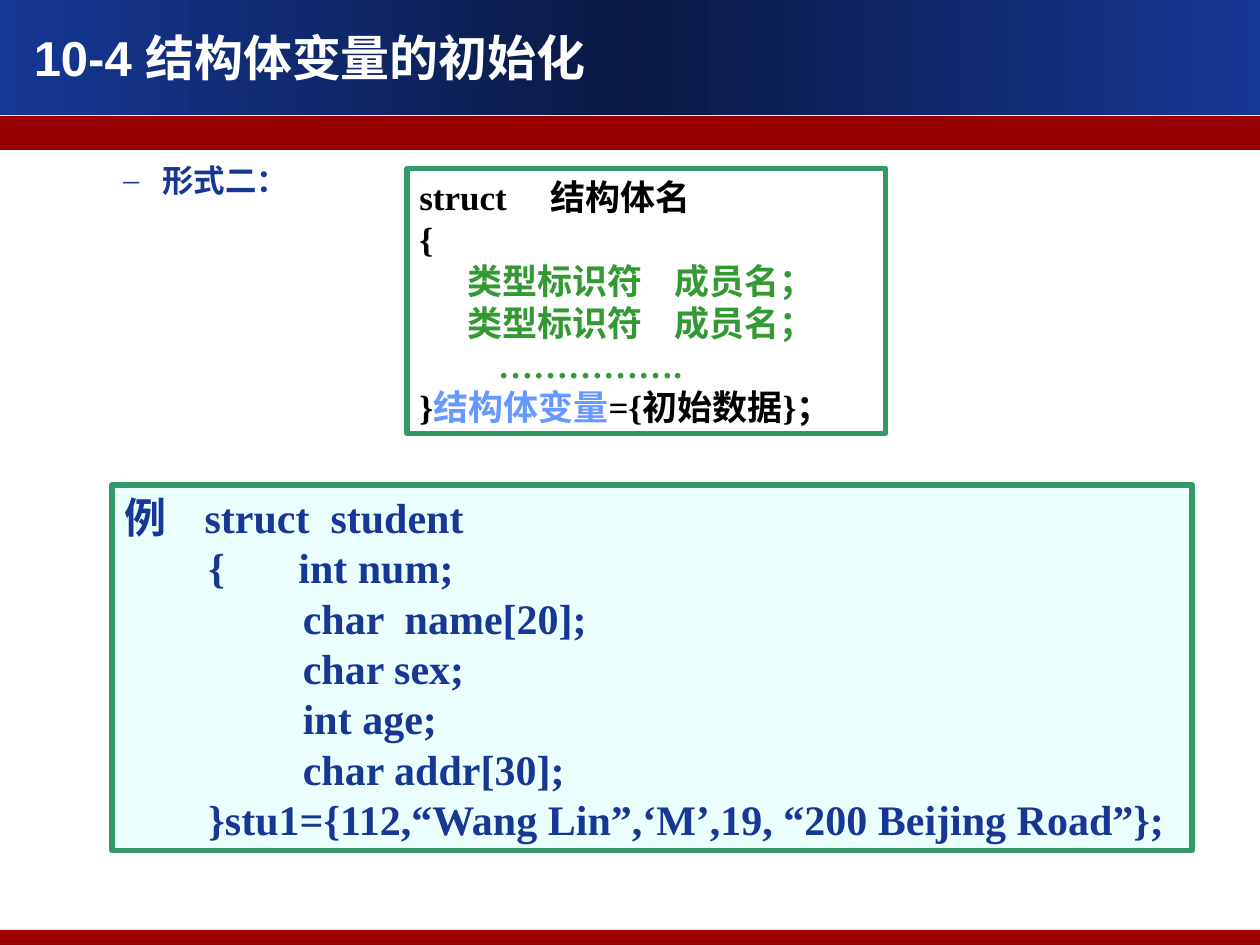
from copy import deepcopy

from lxml.etree import SubElement
from pptx import Presentation
from pptx.dml.color import RGBColor
from pptx.enum.shapes import MSO_SHAPE
from pptx.enum.text import MSO_ANCHOR, PP_ALIGN
from pptx.oxml.ns import qn
from pptx.util import Inches, Pt

BLUE = RGBColor(0x16, 0x37, 0x94)
NAVY = RGBColor(0x0A, 0x19, 0x44)
RED = RGBColor(0x99, 0x00, 0x00)
FRAME_GREEN = RGBColor(0x33, 0x99, 0x66)
CODE_GREEN = RGBColor(0x33, 0x99, 0x33)
LIGHT_BLUE = RGBColor(0x66, 0x99, 0xFF)
PALE_CYAN = RGBColor(0xEB, 0xFF, 0xFF)
BLACK = RGBColor(0x00, 0x00, 0x00)
WHITE = RGBColor(0xFF, 0xFF, 0xFF)

deck = Presentation()
deck.slide_width, deck.slide_height = Inches(10), Inches(7.5)
page = deck.slides.add_slide(deck.slide_layouts[6])


def add_rectangle(left, top, width, height, fill=None, line=None):
    box = page.shapes.add_shape(MSO_SHAPE.RECTANGLE, Inches(left), Inches(top),
                                Inches(width), Inches(height))
    box.shadow.inherit = False
    if fill is None:
        box.fill.background()
    else:
        box.fill.solid()
        box.fill.fore_color.rgb = fill
    if line is None:
        box.line.fill.background()
    else:
        box.line.color.rgb = line
        box.line.width = Pt(3)
    return box


def write(box, lines, size, color, font="Arial", wrap=True, anchor=MSO_ANCHOR.TOP):
    """Fill a box; a line is a string or a list of (text, color) pairs."""
    frame = box.text_frame
    frame.word_wrap = wrap
    frame.vertical_anchor = anchor
    for number, line in enumerate(lines):
        para = frame.paragraphs[0] if number == 0 else frame.add_paragraph()
        para.alignment = PP_ALIGN.LEFT
        for text, text_color in [(line, color)] if isinstance(line, str) else line:
            span = para.add_run()
            span.text = text
            span.font.name = font
            span.font.size = Pt(size)
            span.font.bold = True
            span.font.color.rgb = text_color


# Header and footer bands
header = add_rectangle(0, 0, 10, 0.91, fill=BLUE)
header.fill.gradient()
header.fill.gradient_angle = 0
first_stop = header._element.spPr.find(qn("a:gradFill")).find(qn("a:gsLst"))[0]
first_stop.addnext(deepcopy(first_stop))
for stop, position, color in zip(header.fill.gradient_stops, (0, 0.5, 1), (BLUE, NAVY, BLUE)):
    stop.position = position
    stop.color.rgb = color
add_rectangle(0, 0.92, 10, 0.27, fill=RED)
add_rectangle(0, 7.38, 10, 0.13, fill=RED)

# Dashed list item
item = page.shapes.add_textbox(Inches(0.38), Inches(1.23), Inches(9.18), Inches(0.55))
item_format = item.text_frame.paragraphs[0]._p.get_or_add_pPr()
item_format.set("marL", str(Inches(0.81)))
item_format.set("indent", str(Inches(-0.31)))
bullet_color = SubElement(item_format, qn("a:buClr"))
SubElement(bullet_color, qn("a:srgbClr"), val=str(BLUE))
SubElement(item_format, qn("a:buFont"), typeface="Times New Roman")
SubElement(item_format, qn("a:buChar"), char="–")
write(item, ["形式二："], 18, BLUE)

# General form of the declaration
syntax = add_rectangle(3.23, 1.34, 3.8, 2.1, line=FRAME_GREEN)
member = "      类型标识符    成员名；"
write(syntax, [
    "struct     结构体名",
    "{",
    [(member, CODE_GREEN)],
    [(member, CODE_GREEN)],
    [("         …………….", CODE_GREEN)],
    [("}", BLACK), ("结构体变量", LIGHT_BLUE), ("={初始数据}；", BLACK)],
], 20, BLACK, font="Times New Roman", wrap=False, anchor=MSO_ANCHOR.MIDDLE)

# Worked example
example = add_rectangle(0.89, 3.85, 8.57, 2.9, fill=PALE_CYAN, line=FRAME_GREEN)
write(example, [
    "例    struct  student",
    "        {       int num;",
    "                 char  name[20];",
    "                 char sex;",
    "                 int age;",
    "                 char addr[30];",
    "        }stu1={112,“Wang Lin”,‘M’,19, “200 Beijing Road”};",
], 24, BLUE, font="Times New Roman", wrap=False, anchor=MSO_ANCHOR.MIDDLE)

title = page.shapes.add_textbox(Inches(0.17), Inches(0.17), Inches(7.5), Inches(0.6))
write(title, ["10-4 结构体变量的初始化"], 28, WHITE)

deck.save("out.pptx")
